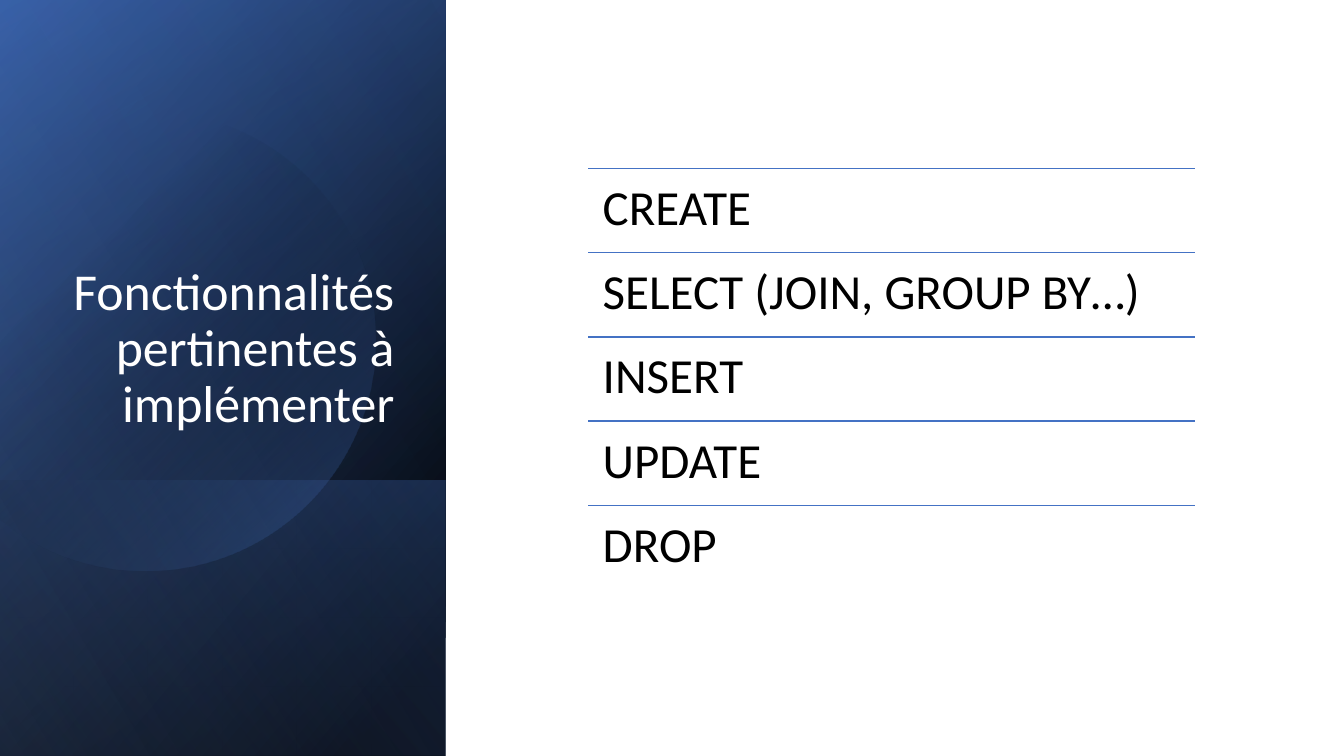
import math

import pptx
import pptx.dml.color
import pptx.enum.shapes
import pptx.enum.text
import pptx.oxml
import pptx.oxml.ns
import pptx.util

Cm = pptx.util.Cm
Pt = pptx.util.Pt
qn = pptx.oxml.ns.qn
NS = pptx.oxml.ns.nsdecls("a")

COLORS = {
    "white": "FFFFFF",
    "black": "000000",
    "navy": "2F5597",
    "blue": "4472C4",
    "pale": "8FAADC",
}
FONT = "Calibri"
COMMANDS = ["CREATE", "SELECT (JOIN, GROUP BY…)", "INSERT", "UPDATE", "DROP"]


def rgb(name):
    """Return the named colour."""
    return pptx.dml.color.RGBColor.from_string(COLORS[name])


def set_gradient(sp, stops, angle):
    """Fill a shape with (position, colour, opacity) stops along an angle."""
    gs = "".join(
        f'<a:gs pos="{pos * 1000}"><a:srgbClr val="{COLORS[name]}">'
        f'<a:alpha val="{alpha * 1000}"/></a:srgbClr></a:gs>'
        for pos, name, alpha in stops
    )
    grad = pptx.oxml.parse_xml(
        f'<a:gradFill {NS} rotWithShape="1"><a:gsLst>{gs}</a:gsLst>'
        f'<a:lin ang="{angle * 60000}" scaled="0"/></a:gradFill>'
    )
    sp.shadow.inherit = False
    sp.line.fill.background()
    sp.fill.background()
    spPr = sp.element.spPr
    spPr.replace(spPr.find(qn("a:noFill")), grad)


def set_text(sp, text, size=35, color="black", align="LEFT", anchor="TOP", insets=(0.37, 0.37)):
    """Write one formatted paragraph into a shape."""
    tf = sp.text_frame
    tf.word_wrap = True
    tf.auto_size = pptx.enum.text.MSO_AUTO_SIZE.NONE
    tf.vertical_anchor = pptx.enum.text.MSO_ANCHOR[anchor]
    tf.margin_left = tf.margin_right = Cm(insets[0])
    tf.margin_top = tf.margin_bottom = Cm(insets[1])
    p = tf.paragraphs[0]
    p.alignment = pptx.enum.text.PP_ALIGN[align]
    p.line_spacing = 0.9
    r = p.add_run()
    r.text = text
    r.font.name = FONT
    r.font.size = Pt(size)
    r.font.color.rgb = rgb(color)


def add_backdrop(s, x, y, w, h):
    """Cover a box with plain white."""
    sp = s.shapes.add_shape(
        pptx.enum.shapes.MSO_SHAPE.RECTANGLE, Cm(x), Cm(y), Cm(w), Cm(h)
    )
    sp.shadow.inherit = False
    sp.line.fill.background()
    sp.fill.solid()
    sp.fill.fore_color.rgb = rgb("white")


def add_turned_rect(s, x, y, w, h, stops, angle):
    """Cover a box with a mirrored rectangle turned a quarter."""
    left, top = x + (w - h) / 2, y + (h - w) / 2
    sp = s.shapes.add_shape(
        pptx.enum.shapes.MSO_SHAPE.RECTANGLE, Cm(left), Cm(top), Cm(h), Cm(w)
    )
    sp.rotation = 90
    sp.element.spPr.find(qn("a:xfrm")).set("flipH", "1")
    set_gradient(sp, stops, angle)


def add_cut_disc(s, cx, cy, radius, half_angle, stops, angle):
    """Draw a disc of Bezier arcs whose left side is cut off straight."""
    angles = [math.radians(a) for a in (-half_angle, -90, 0, 90, half_angle)]

    def at(a, pull=0):
        """Return the point at an angle, moved along the tangent."""
        return (
            Cm(cx + radius * (math.cos(a) - pull * math.sin(a))),
            Cm(cy + radius * (math.sin(a) + pull * math.cos(a))),
        )

    builder = s.shapes.build_freeform(*at(angles[0]))
    builder.add_line_segments([at(a) for a in angles[1:]], close=True)
    sp = builder.convert_to_shape()
    segments = list(sp.element.spPr.iter(qn("a:lnTo")))
    for segment, start, end in zip(segments, angles, angles[1:]):
        pull = 4 / 3 * math.tan((end - start) / 4)
        pts = "".join(
            f'<a:pt x="{px - sp.left}" y="{py - sp.top}"/>'
            for px, py in (at(start, pull), at(end, -pull), at(end))
        )
        curve = pptx.oxml.parse_xml(f"<a:cubicBezTo {NS}>{pts}</a:cubicBezTo>")
        segment.getparent().replace(segment, curve)
    set_gradient(sp, stops, angle)


def add_title_panel(s, x, y, w, h, text):
    """Layer the gradients of the side panel and set the title on top."""
    foot = 6.94
    add_turned_rect(s, x, y, w, h, [(8, "black", 100), (100, "navy", 100)], 50)
    add_turned_rect(s, x, y, w, h, [(0, "black", 0), (99, "blue", 46)], 30)
    add_turned_rect(
        s, x, y + h - foot, w, foot, [(2, "blue", 29), (100, "black", 30)], 130
    )
    add_cut_disc(
        s, x + 3.66, y + 8.58, 5.8, 134, [(29, "black", 0), (100, "blue", 43)], 46
    )
    add_turned_rect(s, x, y, w, h, [(0, "black", 0), (99, "pale", 11)], 120)

    title = s.shapes.title
    title.left, title.top = Cm(x + 1.3), Cm(y + 1.63)
    title.width, title.height = Cm(8.89), Cm(9.42)
    set_text(title, text, size=37, color="white", align="RIGHT", anchor="BOTTOM",
             insets=(0.25, 0.13))
    title.element.getparent().append(title.element)


def add_command_list(s, x, y, w, h, commands):
    """Stack the commands in equal rows, each under a rule."""
    group = s.shapes.add_group_shape()
    row = h / len(commands)
    for i, command in enumerate(commands):
        top = y + i * row
        line = group.shapes.add_connector(
            pptx.enum.shapes.MSO_CONNECTOR.STRAIGHT, Cm(x), Cm(top), Cm(x + w), Cm(top)
        )
        line.line.color.rgb = rgb("blue")
        line.line.width = Pt(1)
        line.element.spPr.append(pptx.oxml.parse_xml(f"<a:effectLst {NS}/>"))
        sp = group.shapes.add_textbox(Cm(x), Cm(top), Cm(w), Cm(row))
        set_text(sp, command)


def main():
    """Build and save the slide."""
    prs = pptx.Presentation()
    prs.slide_width, prs.slide_height = Cm(33.87), Cm(19.05)
    s = prs.slides.add_slide(prs.slide_layouts[5])
    add_backdrop(s, 0, 0, 33.87, 19.05)
    add_title_panel(s, 0, 0, 11.23, 19.05, "Fonctionnalités pertinentes à implémenter")
    add_command_list(s, 14.82, 4.24, 15.3, 10.62, COMMANDS)
    prs.save("out.pptx")


main()
